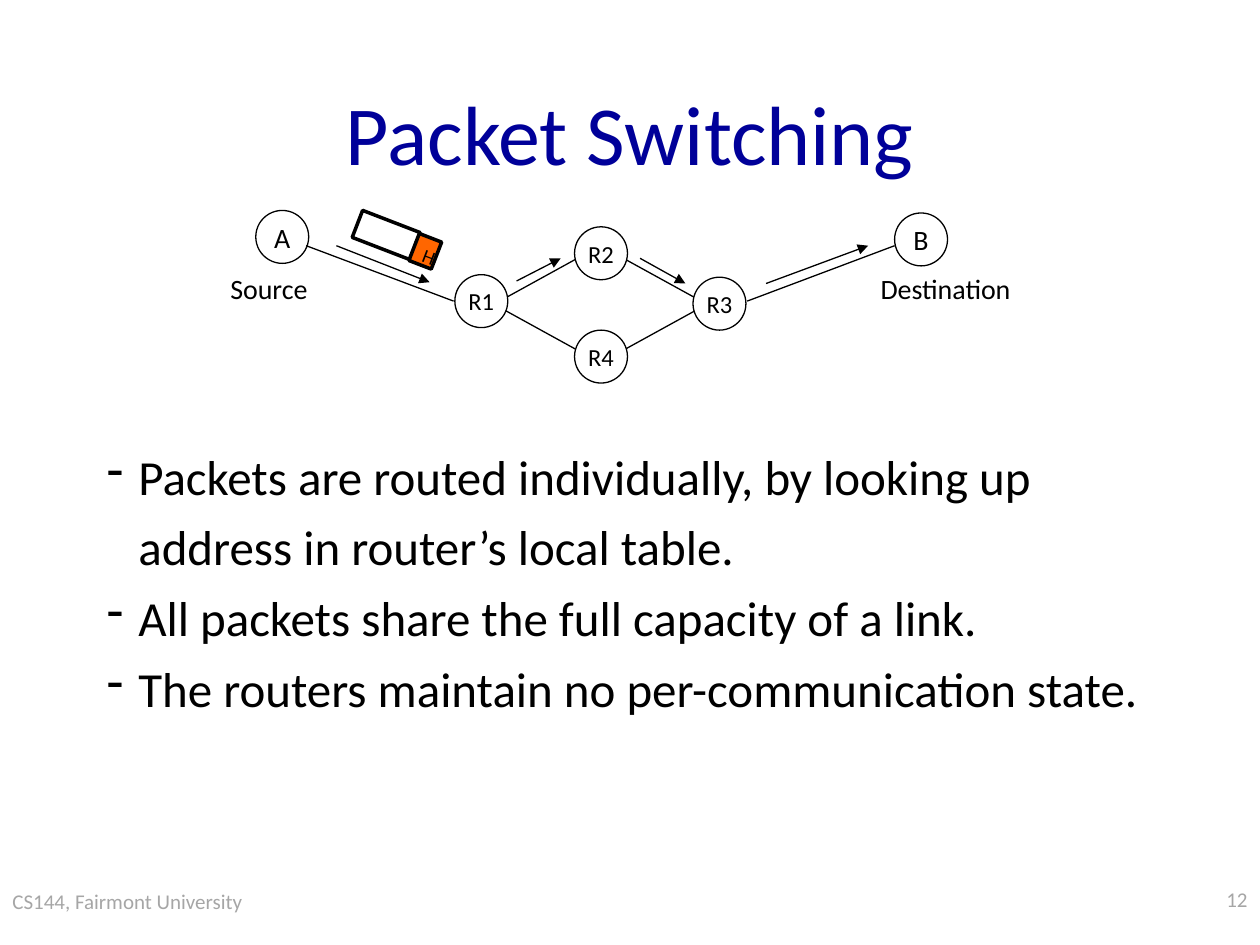
from lxml.etree import SubElement
from pptx import Presentation
from pptx.dml.color import RGBColor
from pptx.enum.shapes import MSO_CONNECTOR, MSO_SHAPE
from pptx.enum.text import MSO_ANCHOR, PP_ALIGN
from pptx.oxml.ns import qn
from pptx.util import Inches, Pt

COLORS = {
    "title": "000099",
    "ink": "000000",
    "paper": "FFFFFF",
    "header": "FF6600",
    "footer": "A6A6A6",
}
COLUMNS, ROWS = 100, 75
NODE_SIZE = 4.2

# Centre column, centre row and label size of each node
NODES = {
    "A": (22.4, 18.8, 16),
    "R1": (38.2, 23.9, 14),
    "R2": (47.7, 20.1, 14),
    "R4": (47.7, 28.3, 14),
    "R3": (57.1, 24.1, 14),
    "B": (73.1, 19, 16),
}
LINKS = [((24.3, 19.5), (36, 23.9)), ((59.3, 23.9), (71, 19.5))]
HOPS = [
    ((26.7, 19.5), (34.1, 22.4)),
    ((41, 22.3), (44.5, 20.5)),
    ((50.8, 20.5), (54.4, 22.5)),
    ((60.8, 22.5), (68.9, 19.5)),
]
POINTS = [
    "Packets are routed individually, by looking up address in router’s local table.",
    "All packets share the full capacity of a link.",
    "The routers maintain no per-communication state.",
]


def rgb(name):
    return RGBColor.from_string(COLORS[name])


def write(frame, *lines, size, color="ink", align=PP_ALIGN.LEFT,
          anchor=MSO_ANCHOR.TOP, wrap=True, spacing=None, bullet=None):
    """Fill a text frame with one paragraph per line."""
    frame.word_wrap = wrap
    frame.vertical_anchor = anchor
    for index, line in enumerate(lines):
        paragraph = frame.add_paragraph() if index else frame.paragraphs[0]
        paragraph.alignment = align
        if spacing:
            paragraph.line_spacing = spacing
        if bullet:
            properties = paragraph._p.get_or_add_pPr()
            properties.set("marL", str(Inches(0.25)))
            properties.set("indent", str(Inches(-0.25)))
            SubElement(properties, qn("a:buChar"), char=bullet)
        run = paragraph.add_run()
        run.text = line
        run.font.name = "Calibri"
        run.font.size = Pt(size)
        run.font.color.rgb = rgb(color)


class GridSlide:
    """A title-only slide whose elements are placed in columns and rows."""

    def __init__(self, presentation):
        self.slide = presentation.slides.add_slide(presentation.slide_layouts[5])
        self.column = presentation.slide_width / COLUMNS
        self.row = presentation.slide_height / ROWS

    def place(self, column, row):
        return round(column * self.column), round(row * self.row)

    def title(self, text, left, top, width, height):
        title = self.slide.shapes.title
        title.left, title.top = self.place(left, top)
        title.width, title.height = self.place(width, height)
        write(title.text_frame, text, size=48, color="title",
              align=PP_ALIGN.CENTER, anchor=MSO_ANCHOR.MIDDLE)

    def text(self, left, top, width, height, *lines, **style):
        box = self.slide.shapes.add_textbox(
            *self.place(left, top), *self.place(width, height))
        write(box.text_frame, *lines, **style)

    def shape(self, kind, left, top, width, height, fill=None, line=0.75, turn=0):
        shape = self.slide.shapes.add_shape(
            kind, *self.place(left, top), *self.place(width, height))
        shape.shadow.inherit = False
        shape.rotation = turn
        if fill:
            shape.fill.solid()
            shape.fill.fore_color.rgb = rgb(fill)
        else:
            shape.fill.background()
        shape.line.color.rgb = rgb("ink")
        shape.line.width = Pt(line)
        return shape

    def node(self, label, column, row, size):
        circle = self.shape(MSO_SHAPE.OVAL, column - NODE_SIZE / 2,
                            row - NODE_SIZE / 2, NODE_SIZE, NODE_SIZE, "paper")
        write(circle.text_frame, label, size=size, align=PP_ALIGN.CENTER,
              anchor=MSO_ANCHOR.MIDDLE, wrap=False)

    def line(self, start, end, arrow=False):
        connector = self.slide.shapes.add_connector(
            MSO_CONNECTOR.STRAIGHT, *self.place(*start), *self.place(*end))
        connector.line.color.rgb = rgb("ink")
        connector.line.width = Pt(0.75)
        if arrow:
            SubElement(connector.line._get_or_add_ln(), qn("a:tailEnd"), type="triangle")
        SubElement(connector._element.spPr, qn("a:effectLst"))

    def packet(self):
        tilt = {"line": 2, "turn": 21.1}
        self.shape(MSO_SHAPE.RECTANGLE, 28.2, 17.5, 4.9, 2.3, "paper", **tilt)
        header = self.shape(MSO_SHAPE.RECTANGLE, 32.8, 18.8, 1.9, 2.3, "header", **tilt)
        write(header.text_frame, "H", size=11, align=PP_ALIGN.CENTER)


def main():
    presentation = Presentation()
    presentation.slide_width = Inches(10)
    presentation.slide_height = Inches(7.5)
    page = GridSlide(presentation)

    page.title("Packet Switching", 7.5, 4.2, 85, 12.5)
    page.text(0, 70, 20.8, 5, "CS144, Fairmont University", size=12, color="footer")
    page.text(79.2, 69.9, 20.8, 5, "12", size=12, color="footer", align=PP_ALIGN.RIGHT)

    page.shape(MSO_SHAPE.FLOWCHART_DECISION, 39.2, 19.5, 16.9, 9.3)
    for label, (column, row, size) in NODES.items():
        page.node(label, column, row, size)
    for start, end in LINKS:
        page.line(start, end)
    for start, end in HOPS:
        page.line(start, end, arrow=True)

    page.text(17.3, 21.1, 10.6, 3.7, "Source", size=16)
    page.text(68.9, 21.1, 16.1, 3.7, "Destination", size=16)
    page.text(7.5, 34, 85, 23.5, *POINTS, size=28, spacing=1.2, bullet="-")
    page.packet()
    presentation.save("out.pptx")


if __name__ == "__main__":
    main()
